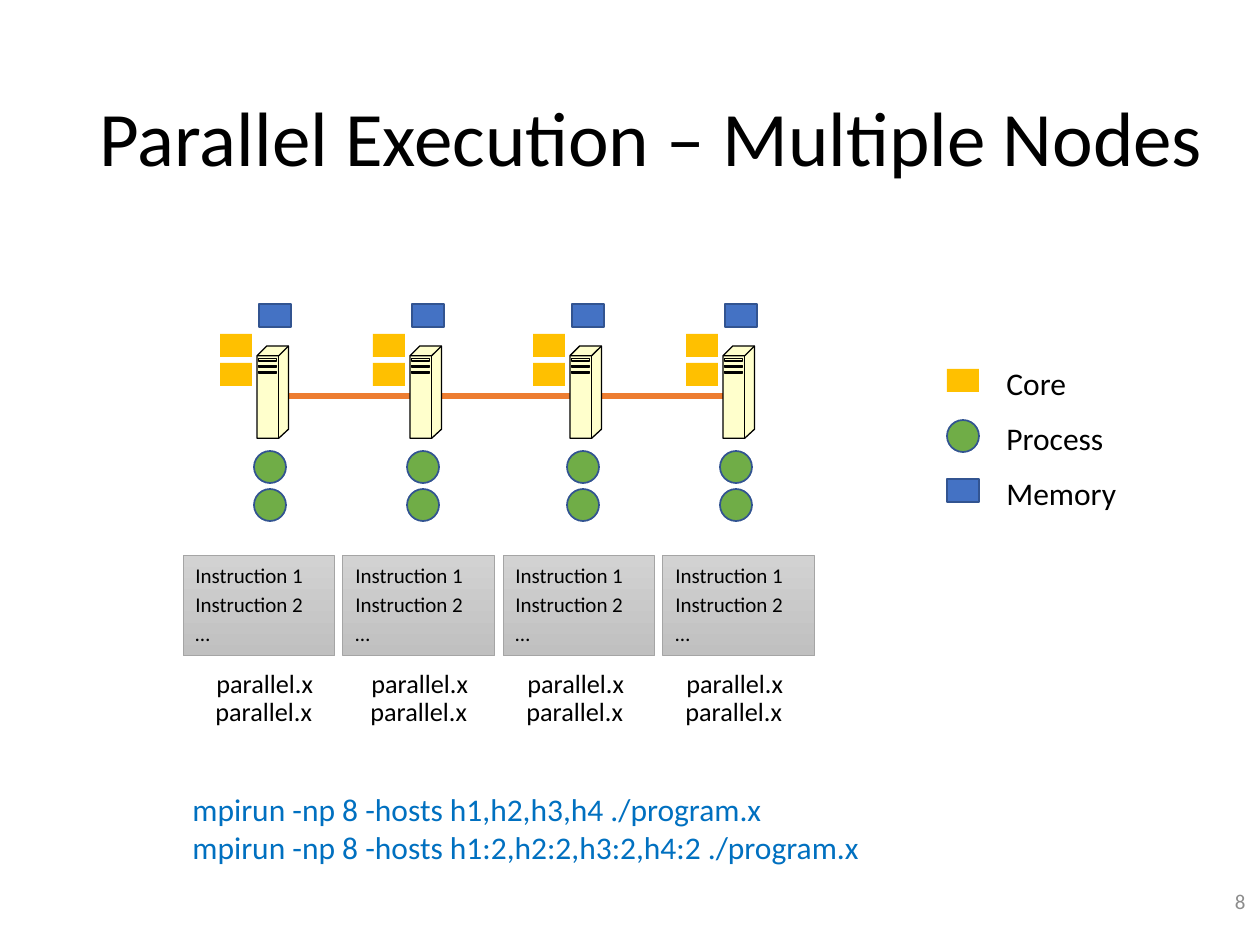
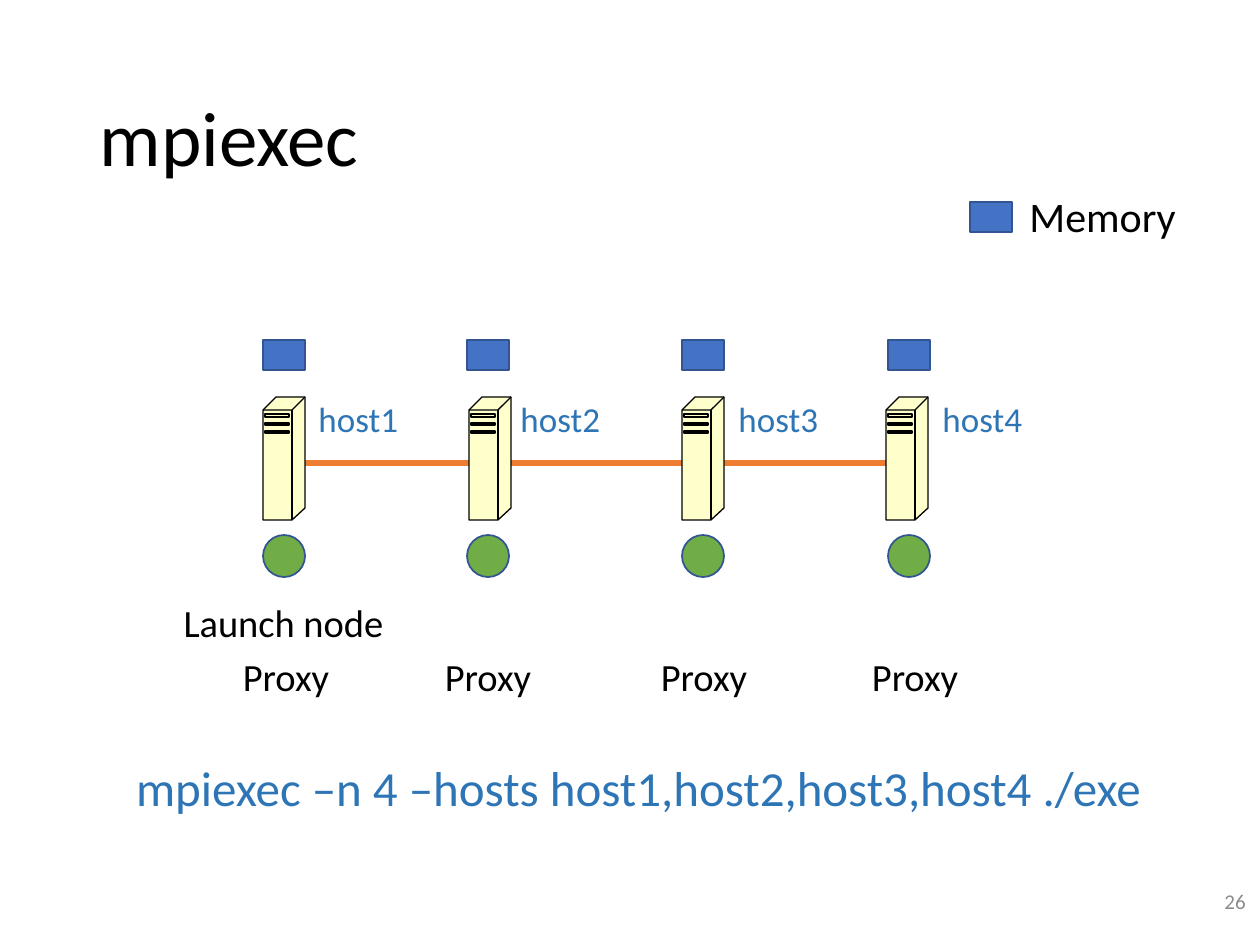
"""Build two slides on launching parallel programs over several nodes."""
from dataclasses import dataclass
from typing import NamedTuple

from lxml import etree
from pptx import Presentation
from pptx.dml.color import RGBColor
from pptx.enum.shapes import MSO_CONNECTOR, MSO_SHAPE
from pptx.enum.text import MSO_ANCHOR, MSO_AUTO_SIZE, PP_ALIGN
from pptx.oxml.ns import qn
from pptx.util import Emu, Pt

RECTANGLE, OVAL = MSO_SHAPE.RECTANGLE, MSO_SHAPE.OVAL
STRAIGHT = MSO_CONNECTOR.STRAIGHT
TOP, MIDDLE = MSO_ANCHOR.TOP, MSO_ANCHOR.MIDDLE
NO_FIT = MSO_AUTO_SIZE.NONE
LEFT, CENTER, RIGHT = PP_ALIGN.LEFT, PP_ALIGN.CENTER, PP_ALIGN.RIGHT
EMU_PER_PX = 914400 / 126
TITLE_ONLY = 5


@dataclass(frozen=True)
class Theme:
    """Colours, font and type sizes of the deck."""
    font: str = "Calibri"
    ink: RGBColor = RGBColor(0x00, 0x00, 0x00)
    muted: RGBColor = RGBColor(0x8C, 0x8C, 0x8C)
    command: RGBColor = RGBColor(0x00, 0x70, 0xC0)
    host: RGBColor = RGBColor(0x2E, 0x75, 0xB6)
    memory: RGBColor = RGBColor(0x44, 0x72, 0xC4)
    process: RGBColor = RGBColor(0x70, 0xAD, 0x47)
    core: RGBColor = RGBColor(0xFF, 0xC0, 0x00)
    outline: RGBColor = RGBColor(0x32, 0x54, 0x91)
    network: RGBColor = RGBColor(0xED, 0x7D, 0x31)
    server: RGBColor = RGBColor(0xFF, 0xFF, 0xCC)
    code_top: RGBColor = RGBColor(0xD2, 0xD2, 0xD2)
    code_bottom: RGBColor = RGBColor(0xC0, 0xC0, 0xC0)
    code_edge: RGBColor = RGBColor(0xA5, 0xA5, 0xA5)
    title_size: int = 44
    command_size: int = 28
    legend_size: int = 24
    role_size: int = 22
    host_size: int = 20
    body_size: int = 18
    program_size: int = 15
    small_size: int = 12


THEME = Theme()


class Box(NamedTuple):
    """Left, top, width and height in px."""
    left: int
    top: int
    width: int
    height: int


class Style(NamedTuple):
    """Look of a block of text."""
    size: int
    color: RGBColor = THEME.ink
    align: PP_ALIGN = LEFT
    anchor: MSO_ANCHOR = TOP
    wrap: bool = True
    level: int = 0
    space_before: float = 0


class Mark(NamedTuple):
    """Symbol that stands for a part of a node."""
    kind: MSO_SHAPE
    color: RGBColor
    width: int
    height: int
    outlined: bool = True


class LegendRow(NamedTuple):
    """Symbol with its top edge and name."""
    mark: Mark
    top: int
    label: str


@dataclass(frozen=True)
class Cluster:
    """Row of servers on one network line."""
    lefts: tuple[int, ...]
    top: int
    width: int
    scale: float
    link_top: int


SERVER_BODY = ((0, 13), (13, 0), (42, 0), (42, 111), (29, 123), (0, 123))
SERVER_EDGES = (((0, 13), (29, 13), (42, 0)), ((29, 13), (29, 123)))
SERVER_SLOTS = tuple(
    ((2, top), (26, top), (26, bottom), (2, bottom), (2, top))
    for top, bottom in ((17, 20), (26, 28), (34, 36))
)


def px(length: float) -> Emu:
    """Turn px into EMU."""
    return Emu(round(length * EMU_PER_PX))


def place(box: Box) -> tuple[Emu, ...]:
    """Turn a box into EMU lengths."""
    return tuple(px(length) for length in box)


def write(frame, lines: tuple[str, ...], style: Style) -> None:
    """Write one paragraph a line in the given style."""
    frame.word_wrap = style.wrap
    frame.vertical_anchor = style.anchor
    for index, line in enumerate(lines):
        paragraph = frame.add_paragraph() if index else frame.paragraphs[0]
        paragraph.alignment = style.align
        paragraph.level = style.level
        if index and style.space_before:
            paragraph.space_before = Pt(style.space_before)
        run = paragraph.add_run()
        run.text = line
        run.font.name = THEME.font
        run.font.size = Pt(style.size)
        run.font.color.rgb = style.color


def add_text(slide, box: Box, style: Style, *lines: str) -> None:
    """Add a text box."""
    write(slide.shapes.add_textbox(*place(box)).text_frame, lines, style)


def add_mark(slide, mark: Mark, left: int, top: int) -> None:
    """Draw one symbol."""
    box = Box(left, top, mark.width, mark.height)
    symbol = slide.shapes.add_shape(mark.kind, *place(box))
    symbol.shadow.inherit = False
    symbol.fill.solid()
    symbol.fill.fore_color.rgb = mark.color
    if mark.outlined:
        symbol.line.color.rgb = THEME.outline
        symbol.line.width = Pt(1)
    else:
        symbol.line.fill.background()


def add_instructions(slide, box: Box) -> None:
    """Draw the list of instructions a node runs."""
    panel = slide.shapes.add_shape(RECTANGLE, *place(box))
    panel.shadow.inherit = False
    panel.fill.gradient()
    panel.fill.gradient_angle = 270
    for stop, color in zip(panel.fill.gradient_stops, (THEME.code_top, THEME.code_bottom)):
        stop.color.rgb = color
    panel.line.color.rgb = THEME.code_edge
    panel.line.width = Pt(0.5)
    style = Style(THEME.small_size, space_before=2.4)
    write(panel.text_frame, ("Instruction 1", "Instruction 2", "…"), style)


def add_server(slide, left: int, cluster: Cluster) -> None:
    """Draw a server tower as a filled body with edges and slots on it."""
    unit = cluster.scale * EMU_PER_PX
    origin = px(left), px(cluster.top)
    outline = slide.shapes.build_freeform(*SERVER_BODY[0], scale=unit)
    outline.add_line_segments(SERVER_BODY[1:], close=True)
    body = outline.convert_to_shape(*origin)
    body.fill.solid()
    body.fill.fore_color.rgb = THEME.server

    strokes = SERVER_EDGES + SERVER_SLOTS
    pen = slide.shapes.build_freeform(*strokes[0][0], scale=unit)
    for start, *rest in strokes:
        pen.move_to(*start)
        pen.add_line_segments(rest, close=False)
    detail = pen.convert_to_shape(*origin)
    detail.fill.background()
    for part in (body, detail):
        part.shadow.inherit = False
        part.line.color.rgb = THEME.ink
        part.line.width = Pt(0.75)


def add_cluster(slide, cluster: Cluster) -> None:
    """Draw the network line and the servers in front of it."""
    link = slide.shapes.add_connector(
        STRAIGHT, px(cluster.lefts[0]), px(cluster.link_top),
        px(cluster.lefts[-1] + cluster.width), px(cluster.link_top))
    link.line.color.rgb = THEME.network
    link.line.width = Pt(3)
    etree.SubElement(link._element.spPr, qn("a:effectLst"))
    for left in cluster.lefts:
        add_server(slide, left, cluster)


def add_slide(deck, title: str, number: str, title_width: int):
    """Add a slide with its title and number."""
    slide = deck.slides.add_slide(deck.slide_layouts[TITLE_ONLY])
    heading = slide.shapes.title
    heading.left, heading.top, heading.width, heading.height = place(
        Box(87, 50, title_width, 183))
    heading.text_frame.auto_size = NO_FIT
    write(heading.text_frame, (title,), Style(THEME.title_size, anchor=MIDDLE))
    heading.text_frame.paragraphs[0].line_spacing = 0.9
    add_text(slide, Box(974, 876, 284, 50),
             Style(THEME.small_size, THEME.muted, RIGHT, MIDDLE), number)
    return slide


def build_multiple_nodes(deck) -> None:
    """Show eight processes spread over four nodes."""
    slide = add_slide(deck, "Parallel Execution – Multiple Nodes", "8", 1134)
    memory = Mark(RECTANGLE, THEME.memory, 32, 23)
    core = Mark(RECTANGLE, THEME.core, 32, 23, outlined=False)
    process = Mark(OVAL, THEME.process, 32, 32)
    cluster = Cluster((257, 410, 570, 723), 346, 31, 0.75, 396)
    add_cluster(slide, cluster)
    for left in cluster.lefts:
        add_mark(slide, memory, left + 2, 304)
        for top in (334, 363):
            add_mark(slide, core, left - 37, top)
        for top in (451, 489):
            add_mark(slide, process, left - 3, top)

    legend = (LegendRow(core, 369, "Core"), LegendRow(process, 420, "Process"),
              LegendRow(memory, 479, "Memory"))
    for index, row in enumerate(legend):
        add_mark(slide, row.mark, 947, row.top)
        add_text(slide, Box(994, 358 + 55 * index, 147, 50),
                 Style(THEME.body_size), row.label)

    program = Style(THEME.program_size, wrap=False)
    for index, left in enumerate((204, 359, 515, 674)):
        add_instructions(slide, Box(183 + 160 * index, 556, 152, 100))
        add_text(slide, Box(left, 661, 123, 44), program, "parallel.x")
        add_text(slide, Box(left - 1, 689, 123, 44), program, "parallel.x")
    add_text(slide, Box(117, 784, 777, 89),
             Style(THEME.body_size, THEME.command, wrap=False, level=1),
             "mpirun -np 8 -hosts h1,h2,h3,h4 ./program.x",
             "mpirun -np 8 -hosts h1:2,h2:2,h3:2,h4:2 ./program.x")


def build_mpiexec(deck) -> None:
    """Show the launch node and the proxies on four hosts."""
    slide = add_slide(deck, "mpiexec", "26", 1086)
    memory = Mark(RECTANGLE, THEME.memory, 42, 30)
    process = Mark(OVAL, THEME.process, 42, 42)
    cluster = Cluster((263, 469, 682, 886), 397, 42, 1, 463)
    add_cluster(slide, cluster)
    for left in (263, 467, 682, 888):
        add_mark(slide, memory, left, 340)
        add_mark(slide, process, left, 535)

    add_mark(slide, memory, 970, 202)
    add_text(slide, Box(1017, 184, 173, 63), Style(THEME.legend_size), "Memory")
    role = Style(THEME.role_size, align=CENTER)
    add_text(slide, Box(156, 593, 255, 59), role, "Launch node")
    host = Style(THEME.host_size, THEME.host, wrap=False)
    for number, (host_left, proxy_left) in enumerate(
            zip((306, 508, 726, 930), (189, 391, 607, 818)), start=1):
        add_text(slide, Box(host_left, 391, 106, 55), host, f"host{number}")
        add_text(slide, Box(proxy_left, 647, 194, 59), role, "Proxy")
    add_text(slide, Box(117, 751, 1043, 72),
             Style(THEME.command_size, THEME.host, CENTER, wrap=False),
             "mpiexec –n 4 –hosts host1,host2,host3,host4 ./exe")


def main() -> None:
    """Build and save the deck."""
    deck = Presentation()
    deck.slide_width, deck.slide_height = px(1260), px(945)
    build_multiple_nodes(deck)
    build_mpiexec(deck)
    deck.save("out.pptx")


if __name__ == "__main__":
    main()
